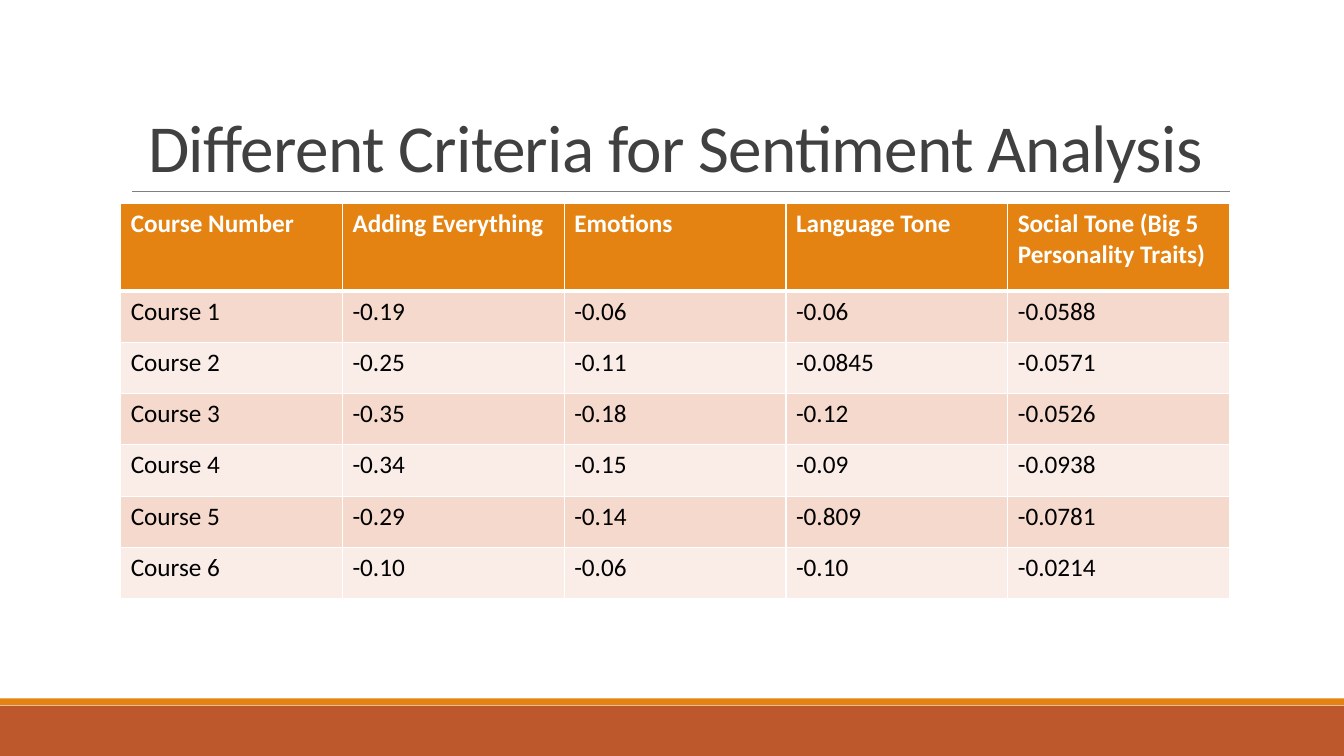
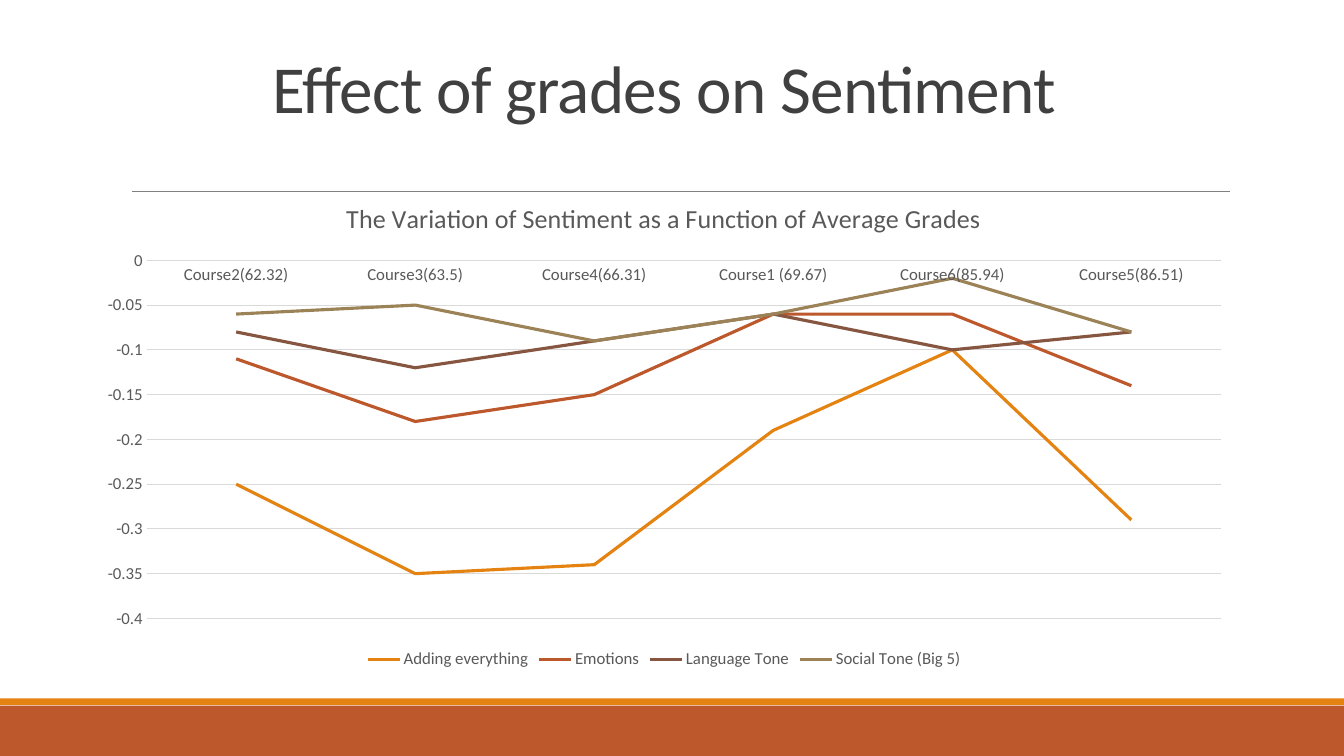
from lxml import etree
from pptx import Presentation
from pptx.chart import data as chart_data
from pptx.dml.color import RGBColor
from pptx.enum import chart as ch, shapes, text
from pptx.oxml import ns
from pptx.util import Pt

FONT = "Calibri"
ORANGE, RUST, BROWN, TAN = "E48312", "BD582C", "865640", "9B8357"
WHITE, BLACK, RULE_GRAY, GRID_GRAY = "FFFFFF", "000000", "808080", "D9D9D9"
TITLE_GRAY, LABEL_GRAY = "404040", "595959"
ROW_TINTS = ["F5D9CC", "FAEDE7"]
CHART_WIDTH, CHART_HEIGHT = 828, 350.6


def color(value):
    return RGBColor.from_string(value)


def place(parent, index, **points):
    for old in parent.xpath("c:layout"):
        parent.remove(old)
    layout = etree.Element(ns.qn("c:layout"))
    manual = etree.SubElement(layout, ns.qn("c:manualLayout"))
    settings = {"xMode": "edge", "yMode": "edge"}
    if "w" in points:
        settings = {"layoutTarget": "inner", **settings}
    for key, length in points.items():
        settings[key] = length / (CHART_WIDTH if key in "xw" else CHART_HEIGHT)
    for key, value in settings.items():
        etree.SubElement(manual, ns.qn(f"c:{key}")).set("val", str(value))
    parent.insert(index, layout)


prs = Presentation()
prs.slide_width, prs.slide_height = Pt(960), Pt(540)

headings = [
    ("Different Criteria for Sentiment Analysis", (86.4, 22.3, 792, 114.5)),
    ("Effect of grades on Sentiment", (60.5, -9.6, 828, 104.4)),
]
bands = [(504, 36, RUST), (498.9, 4.8, ORANGE)]

slides = []
for wording, (left, top, width, height) in headings:
    slide = prs.slides.add_slide(prs.slide_layouts[5])
    slides.append(slide)

    for band_top, band_height, band_color in bands:
        band = slide.shapes.add_shape(
            shapes.MSO_SHAPE.RECTANGLE, 0, Pt(band_top), Pt(960), Pt(band_height))
        band.shadow.inherit = False
        band.fill.solid()
        band.fill.fore_color.rgb = color(band_color)
        band.line.fill.background()

    rule = slide.shapes.add_connector(
        shapes.MSO_CONNECTOR.STRAIGHT, Pt(94.3), Pt(136.8), Pt(878.8), Pt(136.8))
    rule.line.color.rgb = color(RULE_GRAY)
    rule.line.width = Pt(0.5)
    etree.SubElement(rule.element.spPr, ns.qn("a:effectLst"))

    heading = slide.shapes.title
    heading.left, heading.top = Pt(left), Pt(top)
    heading.width, heading.height = Pt(width), Pt(height)
    frame = heading.text_frame
    frame.text = wording
    frame.word_wrap = True
    frame.auto_size = text.MSO_AUTO_SIZE.NONE
    frame.vertical_anchor = text.MSO_ANCHOR.BOTTOM
    line = frame.paragraphs[0]
    line.alignment = text.PP_ALIGN.CENTER
    line.line_spacing = 0.85
    line.font.name = FONT
    line.font.size = Pt(48)
    line.font.color.rgb = color(TITLE_GRAY)
    for properties in heading.element.xpath(".//a:defRPr"):
        properties.set("spc", "-50")

criteria_slide, grades_slide = slides

scores = [
    ["Course Number", "Adding Everything", "Emotions", "Language Tone",
     "Social Tone (Big 5 Personality Traits)"],
    ["Course 1", "-0.19", "-0.06", "-0.06", "-0.0588"],
    ["Course 2", "-0.25", "-0.11", "-0.0845", "-0.0571"],
    ["Course 3", "-0.35", "-0.18", "-0.12", "-0.0526"],
    ["Course 4", "-0.34", "-0.15", "-0.09", "-0.0938"],
    ["Course 5", "-0.29", "-0.14", "-0.809", "-0.0781"],
    ["Course 6", "-0.10", "-0.06", "-0.10", "-0.0214"],
]
score_table = criteria_slide.shapes.add_table(
    len(scores), len(scores[0]), Pt(86.2), Pt(145.4), Pt(792), Pt(282.2)).table
for row_index, row in enumerate(scores):
    is_header = row_index == 0
    score_table.rows[row_index].height = Pt(62.6 if is_header else 36.6)
    edge_widths = {"lnL": 1, "lnR": 1,
                   "lnT": 3 if row_index == 1 else 1,
                   "lnB": 3 if is_header else 1}
    for column_index, wording in enumerate(row):
        cell = score_table.cell(row_index, column_index)
        cell.text = wording
        entry = cell.text_frame.paragraphs[0]
        entry.font.name = FONT
        entry.font.size = Pt(18)
        entry.font.bold = is_header
        entry.font.color.rgb = color(WHITE if is_header else BLACK)
        cell_properties = cell._tc.get_or_add_tcPr()
        for edge, edge_width in edge_widths.items():
            border = etree.SubElement(
                cell_properties, ns.qn(f"a:{edge}"), w=str(Pt(edge_width)))
            border_fill = etree.SubElement(border, ns.qn("a:solidFill"))
            etree.SubElement(border_fill, ns.qn("a:srgbClr"), val=WHITE)
        cell.fill.solid()
        cell.fill.fore_color.rgb = color(
            ORANGE if is_header else ROW_TINTS[(row_index - 1) % 2])

sentiments = [
    ("Adding everything", ORANGE, [-0.25, -0.35, -0.34, -0.19, -0.1, -0.29]),
    ("Emotions", RUST, [-0.11, -0.18, -0.15, -0.06, -0.06, -0.14]),
    ("Language Tone", BROWN, [-0.08, -0.12, -0.09, -0.06, -0.1, -0.08]),
    ("Social Tone (Big 5)", TAN, [-0.06, -0.05, -0.09, -0.06, -0.02, -0.08]),
]
grades = chart_data.CategoryChartData()
grades.categories = ["Course2(62.32)", "Course3(63.5)", "Course4(66.31)",
                     "Course1 (69.67)", "Course6(85.94)", "Course5(86.51)"]
for name, _, values in sentiments:
    grades.add_series(name, values)
chart = grades_slide.shapes.add_chart(
    ch.XL_CHART_TYPE.LINE, Pt(60.5), Pt(130.3),
    Pt(CHART_WIDTH), Pt(CHART_HEIGHT), grades).chart
chart.font.name = FONT
chart.font.size = Pt(12)
chart.font.color.rgb = color(LABEL_GRAY)

chart.has_title = True
chart.chart_title.text_frame.text = (
    "The Variation of Sentiment as a Function of Average Grades")
caption = chart.chart_title.text_frame.paragraphs[0]
caption.font.name = FONT
caption.font.size = Pt(18.6)
caption.font.bold = False
caption.font.color.rgb = color(LABEL_GRAY)
place(chart.element.xpath("c:chart/c:title")[0], 1, x=183.5, y=9)
place(chart.element.xpath("c:chart/c:plotArea")[0], 0,
      x=44.3, y=55.7, w=767.3, h=255.8)

chart.has_legend = True
chart.legend.position = ch.XL_LEGEND_POSITION.BOTTOM
chart.legend.include_in_layout = False

course_axis, score_axis = chart.category_axis, chart.value_axis
for axis in (course_axis, score_axis):
    axis.major_tick_mark = axis.minor_tick_mark = ch.XL_TICK_MARK.NONE
course_axis.format.line.color.rgb = color(GRID_GRAY)
course_axis.format.line.width = Pt(0.75)
score_axis.minimum_scale, score_axis.maximum_scale = -0.4, 0
score_axis.major_unit = 0.05
score_axis.format.line.fill.background()
score_axis.has_major_gridlines = True
score_axis.major_gridlines.format.line.color.rgb = color(GRID_GRAY)
score_axis.major_gridlines.format.line.width = Pt(0.75)

chart.plots[0].vary_by_categories = False
for curve, (_, curve_color, _) in zip(chart.plots[0].series, sentiments):
    curve.smooth = False
    curve.marker.style = ch.XL_MARKER_STYLE.NONE
    curve.format.line.color.rgb = color(curve_color)
    curve.format.line.width = Pt(2.25)

prs.save("out.pptx")
